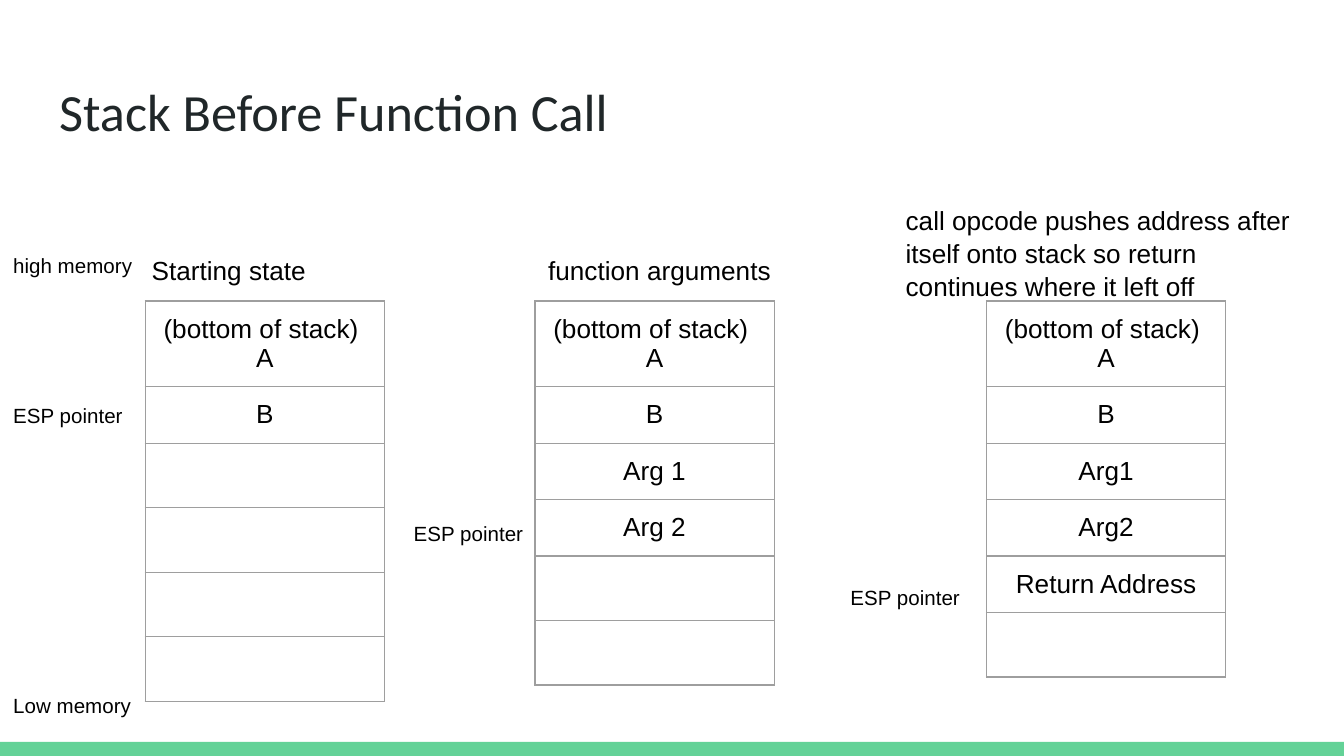
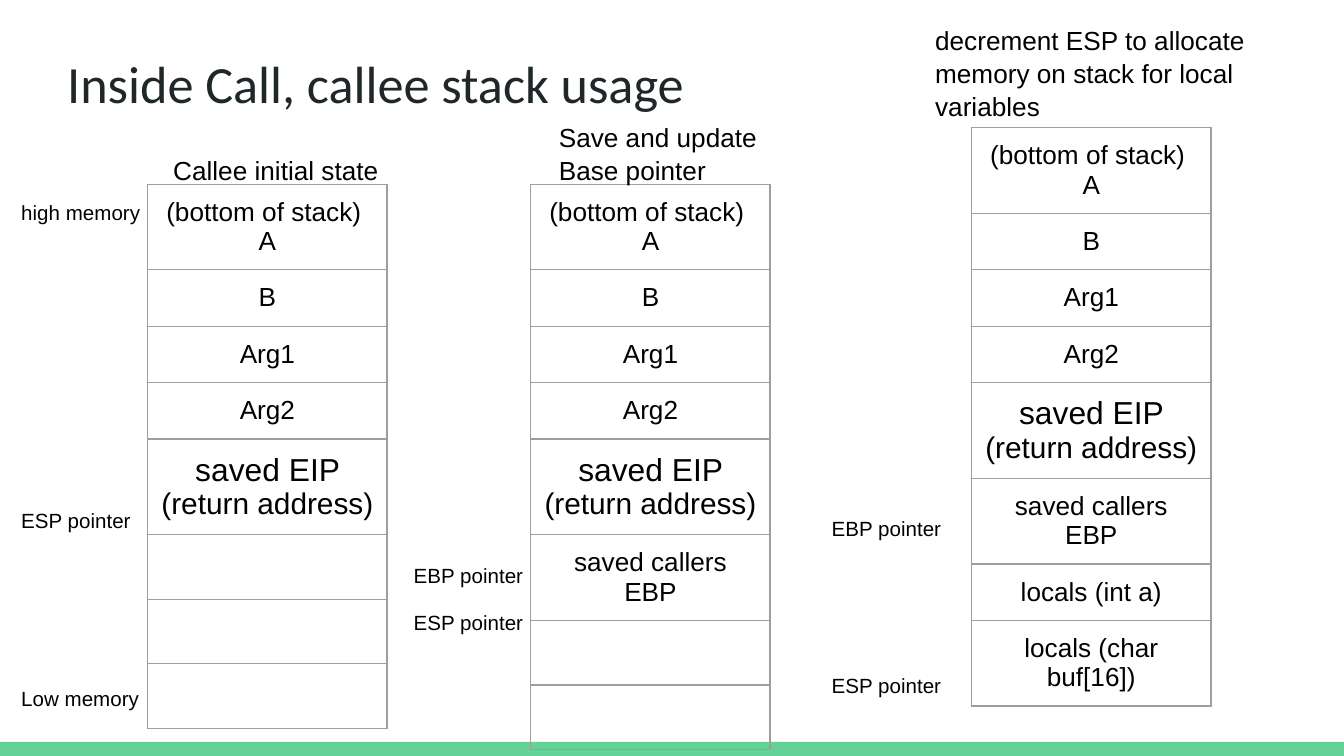
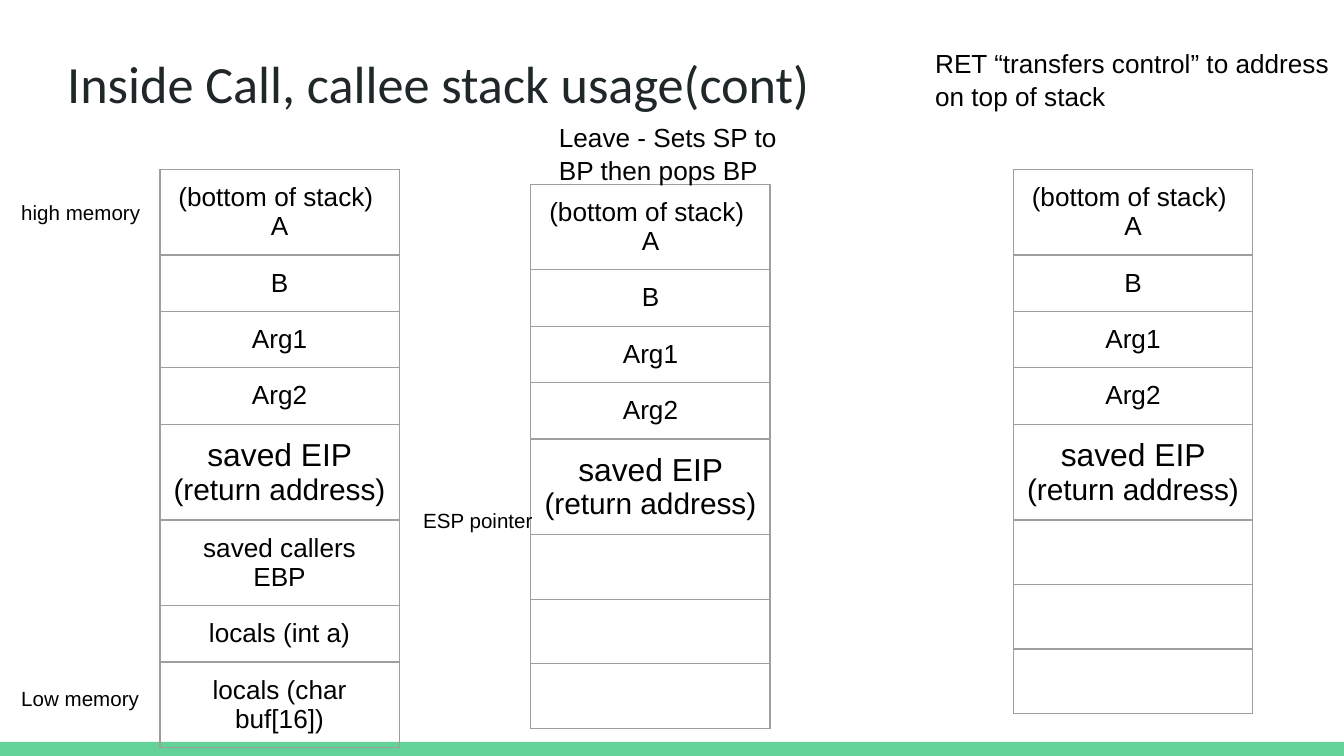
"""Build three slides that show how the call stack changes around a function call."""
from lxml.etree import SubElement
from pptx import Presentation
from pptx.dml.color import RGBColor
from pptx.enum.shapes import MSO_SHAPE
from pptx.enum.text import MSO_ANCHOR as Anchor, MSO_AUTO_SIZE as AutoSize, PP_ALIGN as Align
from pptx.oxml.ns import qn
from pptx.util import Inches, Pt

BLACK = RGBColor(0x00, 0x00, 0x00)
WHITE = RGBColor(0xFF, 0xFF, 0xFF)
TITLE_COLOR = RGBColor(0x20, 0x27, 0x29)
GREEN = RGBColor(0x63, 0xD2, 0x97)
GRID = RGBColor(0x9E, 0x9E, 0x9E)

TITLE_ONLY = 5
STACK_WIDTH = 1.78
ROW_HEIGHT = 0.42
EMPTY_SIZE = 18

BASE = ["(bottom of stack) \nA", "B"]
EMPTY = [""]
CALLED = BASE + ["Arg1", "Arg2", [("saved EIP ", 17), ("(return address)", 16)]]
ENTERED = CALLED + ["saved callers EBP"]
ALLOCATED = ENTERED + ["locals (int a)", "locals (char buf[16])"]


def write_text(frame, text, size=14, font="Arial", color=BLACK, align=Align.LEFT, spacing=1.0):
    """Fill a text frame with lines of text, or with one line of (text, size) runs."""
    if isinstance(text, str):
        lines = [[(line, size)] for line in text.split("\n")]
    else:
        lines = [text]
    frame.word_wrap = True
    frame.margin_left = frame.margin_right = Inches(0.1)
    frame.margin_top = frame.margin_bottom = Inches(0.1)
    for index, runs in enumerate(lines):
        paragraph = frame.add_paragraph() if index else frame.paragraphs[0]
        paragraph.alignment = align
        paragraph.line_spacing = spacing
        for words, points in runs:
            run = paragraph.add_run()
            run.text = words
            run.font.size = Pt(points)
            run.font.name = font
            run.font.color.rgb = color


class StackDeck:
    """Hold the shared style and the slide being built."""

    def __init__(self):
        """Start an empty widescreen presentation."""
        self.presentation = Presentation()
        self.presentation.slide_width = Inches(10)
        self.presentation.slide_height = Inches(5.625)
        self.slide = None

    def add_slide(self, title, left, top):
        """Add a slide with its title and the green band at the bottom."""
        layout = self.presentation.slide_layouts[TITLE_ONLY]
        self.slide = self.presentation.slides.add_slide(layout)
        self.slide.background.fill.solid()
        self.slide.background.fill.fore_color.rgb = WHITE
        self.add_band()
        shape = self.slide.shapes.title
        shape.left, shape.top = Inches(left), Inches(top)
        shape.width, shape.height = Inches(9.32), Inches(0.63)
        shape.text_frame.auto_size = AutoSize.NONE
        shape.text_frame.vertical_anchor = Anchor.TOP
        write_text(shape.text_frame, title, size=28, font="Calibri", color=TITLE_COLOR)

    def add_band(self):
        """Draw the band along the bottom edge."""
        band = self.slide.shapes.add_shape(
            MSO_SHAPE.RECTANGLE, 0, Inches(5.52), Inches(10), Inches(0.11))
        band.shadow.inherit = False
        band.fill.solid()
        band.fill.fore_color.rgb = GREEN
        band.line.fill.background()

    def add_text(self, text, left, top, width, height, size=14):
        """Place a text box."""
        box = self.slide.shapes.add_textbox(
            Inches(left), Inches(top), Inches(width), Inches(height))
        write_text(box.text_frame, text, size=size, spacing=1.05)

    def add_label(self, text, left, top):
        """Place a small label beside a stack."""
        self.add_text(text, left, top, 1.64, 0.35, size=11)

    def add_stack(self, entries, left, top):
        """Draw a stack as a table with one column."""
        frame = self.slide.shapes.add_table(
            len(entries), 1, Inches(left), Inches(top),
            Inches(STACK_WIDTH), Inches(ROW_HEIGHT * len(entries)))
        table = frame.table
        table.first_row = table.horz_banding = False
        for row, entry in enumerate(entries):
            table.rows[row].height = Inches(ROW_HEIGHT)
            cell = table.cell(row, 0)
            self.style_cell(cell)
            if entry:
                write_text(cell.text_frame, entry, align=Align.CENTER)
            else:
                paragraph = cell.text_frame.paragraphs[0]
                end = SubElement(paragraph._p, qn("a:endParaRPr"), sz=str(EMPTY_SIZE * 100))
                SubElement(end, qn("a:latin"), typeface="Arial")

    def style_cell(self, cell):
        """Give a cell thin grey borders, even margins and no fill."""
        properties = cell._tc.get_or_add_tcPr()
        for side in ("L", "R", "T", "B"):
            line = SubElement(properties, qn("a:ln" + side), w=str(Pt(0.75)))
            fill = SubElement(line, qn("a:solidFill"))
            SubElement(fill, qn("a:srgbClr"), val=str(GRID))
        cell.fill.background()
        cell.margin_left = cell.margin_right = Inches(0.1)
        cell.margin_top = cell.margin_bottom = Inches(0.1)


def build_before_call(deck):
    """Show the stack up to the call opcode."""
    deck.add_slide("Stack Before Function Call", 0.34, 0.49)
    deck.add_stack(BASE + EMPTY * 4, 1.08, 2.24)
    deck.add_stack(BASE + ["Arg 1", "Arg 2"] + EMPTY * 2, 3.98, 2.24)
    deck.add_stack(BASE + ["Arg1", "Arg2", "Return Address"] + EMPTY, 7.34, 2.24)
    deck.add_label("Low memory", 0, 5.05)
    deck.add_label("high memory", 0, 1.78)
    for left, top in ((0, 2.89), (2.98, 3.77), (6.23, 4.25)):
        deck.add_label("ESP pointer", left, top)
    deck.add_text("Starting state", 1.03, 1.78, 1.78, 0.35)
    deck.add_text("function arguments", 3.98, 1.78, 1.99, 0.35)
    deck.add_text("call opcode pushes address after itself onto stack so return "
                  "continues where it left off", 6.64, 1.41, 3.14, 0.71)


def add_memory_labels(deck):
    """Mark both ends of memory on a callee slide."""
    deck.add_label("Low memory", 0.06, 5)
    deck.add_label("high memory", 0.06, 1.38)


def build_inside_call(deck):
    """Show the callee setting up its frame."""
    deck.add_slide("Inside Call, callee stack usage", 0.4, 0.28)
    deck.add_stack(CALLED + EMPTY * 3, 1.1, 1.37)
    deck.add_stack(ENTERED + EMPTY * 2, 3.95, 1.37)
    deck.add_stack(ALLOCATED, 7.23, 0.95)
    add_memory_labels(deck)
    for left, top in ((0.06, 3.67), (2.98, 4.43), (6.09, 4.9)):
        deck.add_label("ESP pointer", left, top)
    for left, top in ((2.98, 4.08), (6.09, 3.73)):
        deck.add_label("EBP pointer", left, top)
    deck.add_text("Callee initial state", 1.19, 1.04, 1.78, 0.35)
    deck.add_text("Save and update Base pointer", 4.06, 0.79, 1.99, 0.48)
    deck.add_text("decrement ESP to allocate memory on stack for local variables",
                  6.86, 0.07, 3.14, 0.71)


def build_return(deck):
    """Show the callee leaving and returning."""
    deck.add_slide("Inside Call, callee stack usage(cont)", 0.4, 0.28)
    deck.add_stack(ALLOCATED, 1.19, 1.26)
    deck.add_stack(CALLED + EMPTY * 3, 3.95, 1.37)
    deck.add_stack(CALLED + EMPTY * 3, 7.54, 1.26)
    add_memory_labels(deck)
    deck.add_label("ESP pointer", 3.05, 3.67)
    deck.add_text("Leave - Sets SP to BP then pops BP", 4.06, 0.79, 1.99, 0.48)
    deck.add_text("RET “transfers control” to address on top of stack ",
                  6.86, 0.24, 3.14, 0.71)


stack_deck = StackDeck()
build_before_call(stack_deck)
build_inside_call(stack_deck)
build_return(stack_deck)
stack_deck.presentation.save("out.pptx")
